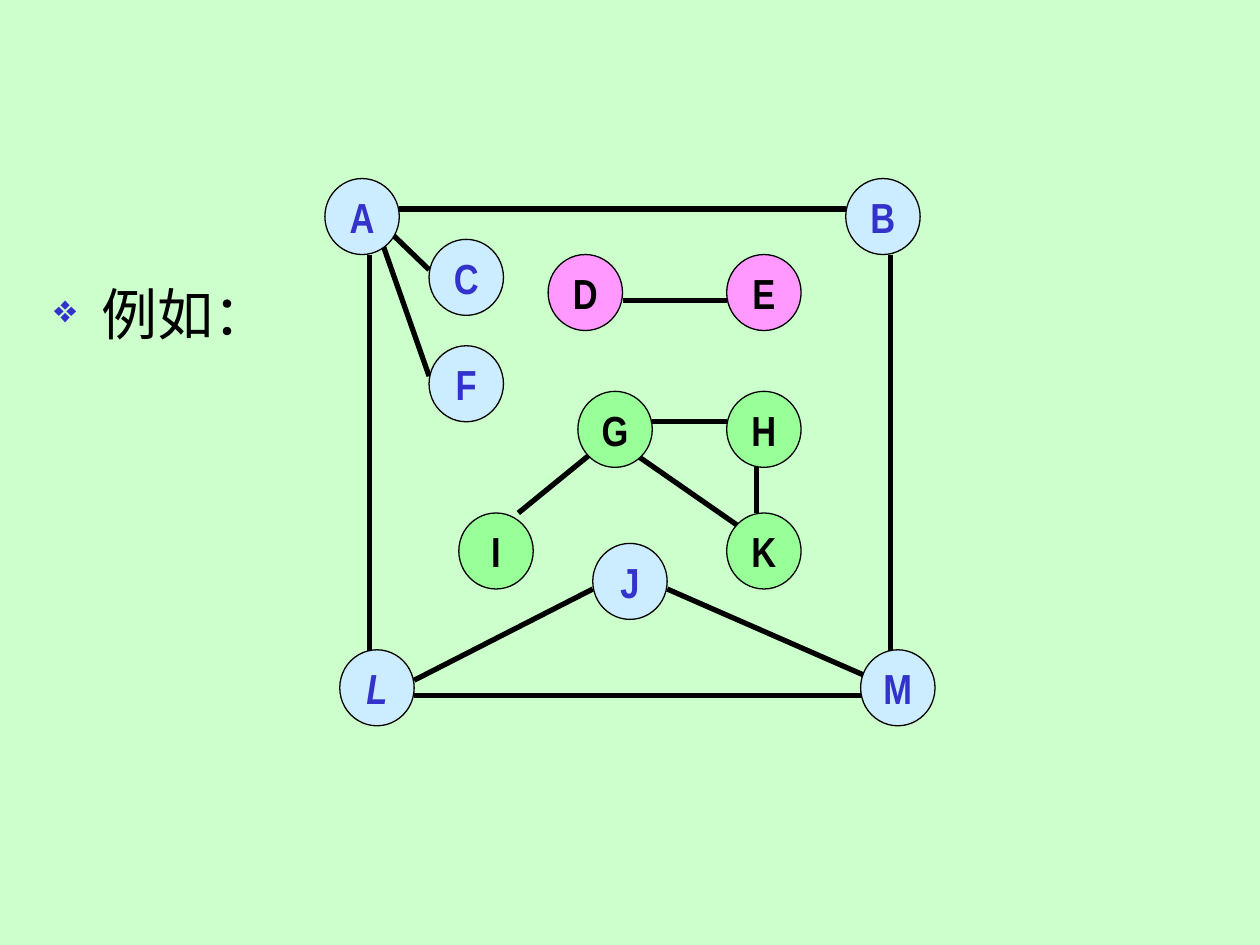
from lxml import etree
from pptx import Presentation
from pptx import util as u
from pptx.dml.color import RGBColor
from pptx.enum import shapes, text
from pptx.oxml import ns

MINT = RGBColor(0xCC, 0xFF, 0xCC)
BLACK = RGBColor(0, 0, 0)
BLUE = RGBColor(0x33, 0x33, 0xCC)
SKY = RGBColor(0xCC, 0xEC, 0xFF)
PINK = RGBColor(0xFF, 0x99, 0xFF)
GREEN = RGBColor(0x99, 0xFF, 0x99)

# Drawing grid in centimetres; a node is five steps wide and high
LEFT, TOP = 6.55, 3.6
COLUMN, ROW = 0.3, 9.5 / 31
NODE_STEPS = 5

# Each component: fill, text colour, nodes (column, row), edges between grid points
COMPONENTS = [
    (PINK, BLACK,
     {"D": (15, 5), "E": (27, 5)},
     [((20, 8), (27, 8))]),
    (SKY, BLUE,
     {"B": (35, 0), "C": (7, 4), "F": (7, 11), "J": (18, 24),
      "M": (36, 31), "L": (1, 31), "A": (0, 0)},
     [((5, 2), (35, 2)), ((6, 34), (36, 34)),
      ((3, 5), (3, 32)), ((38, 5), (38, 32)),
      ((4.25, 3.4), (7, 6)), ((3.55, 3.4), (7, 13)),
      ((23, 27), (37, 33)), ((18, 27), (6, 33))]),
    (GREEN, BLACK,
     {"G": (17, 14), "H": (27, 14), "K": (27, 22), "I": (9, 22)},
     [((22, 16), (27, 16)), ((29, 19), (29, 22)),
      ((20.5, 17.9), (28, 23)), ((18, 18), (13, 22))]),
]


def grid_point(column, row):
    return u.Cm(LEFT + COLUMN * column), u.Cm(TOP + ROW * row)


def add_span(para, words, color, **formats):
    span = para.add_run()
    span.text = words
    span.font.color.rgb = color
    for name, value in formats.items():
        setattr(span.font, name, value)


def add_edge(page, start, end):
    edge = page.shapes.add_connector(
        shapes.MSO_CONNECTOR.STRAIGHT, *grid_point(*start), *grid_point(*end))
    edge.line.color.rgb = BLACK
    edge.line.width = u.Pt(3)
    etree.SubElement(edge._element.spPr, ns.qn("a:effectLst"))


def add_node(page, label, place, fill, color):
    node = page.shapes.add_shape(
        shapes.MSO_SHAPE.OVAL, *grid_point(*place),
        u.Cm(COLUMN * NODE_STEPS), u.Cm(ROW * NODE_STEPS))
    node.shadow.inherit = False
    node.fill.solid()
    node.fill.fore_color.rgb = fill
    node.line.color.rgb = BLACK
    node.line.width = u.Pt(0.75)
    frame = node.text_frame
    frame.word_wrap = False
    frame.vertical_anchor = text.MSO_ANCHOR.MIDDLE
    para = frame.paragraphs[0]
    para.alignment = text.PP_ALIGN.CENTER
    formats = {"name": "Arial Narrow", "size": u.Pt(24), "bold": True}
    if label == "L":
        formats["italic"] = True
    add_span(para, label, color, **formats)


def add_bullet(para, mark, color, percent, indent):
    props = para._p.get_or_add_pPr()
    props.set("marL", str(indent))
    props.set("indent", str(-indent))
    tint = etree.SubElement(props, ns.qn("a:buClr"))
    etree.SubElement(tint, ns.qn("a:srgbClr"), val=str(color))
    etree.SubElement(props, ns.qn("a:buSzPct"), val=str(percent * 1000))
    etree.SubElement(props, ns.qn("a:buChar"), char=mark)


def add_body(page):
    box = page.shapes.add_textbox(
        u.Cm(0.84), u.Cm(5.51), u.Cm(23.72), u.Cm(10.8))
    box.text_frame.word_wrap = True
    para = box.text_frame.paragraphs[0]
    para.space_before = u.Pt(6.4)
    add_bullet(para, "❖", BLUE, 70, u.Cm(0.95))
    add_span(para, "例如：", BLACK, name="Arial", size=u.Pt(32))


def main():
    deck = Presentation()
    deck.slide_width, deck.slide_height = u.Cm(25.4), u.Cm(19.05)
    page = deck.slides.add_slide(deck.slide_layouts[6])
    page.background.fill.solid()
    page.background.fill.fore_color.rgb = MINT

    # Lead-in text
    add_body(page)

    # Graph components, edges beneath nodes
    for fill, color, nodes, edges in COMPONENTS:
        for start, end in edges:
            add_edge(page, start, end)
        for label, place in nodes.items():
            add_node(page, label, place, fill, color)

    deck.save("out.pptx")


main()
